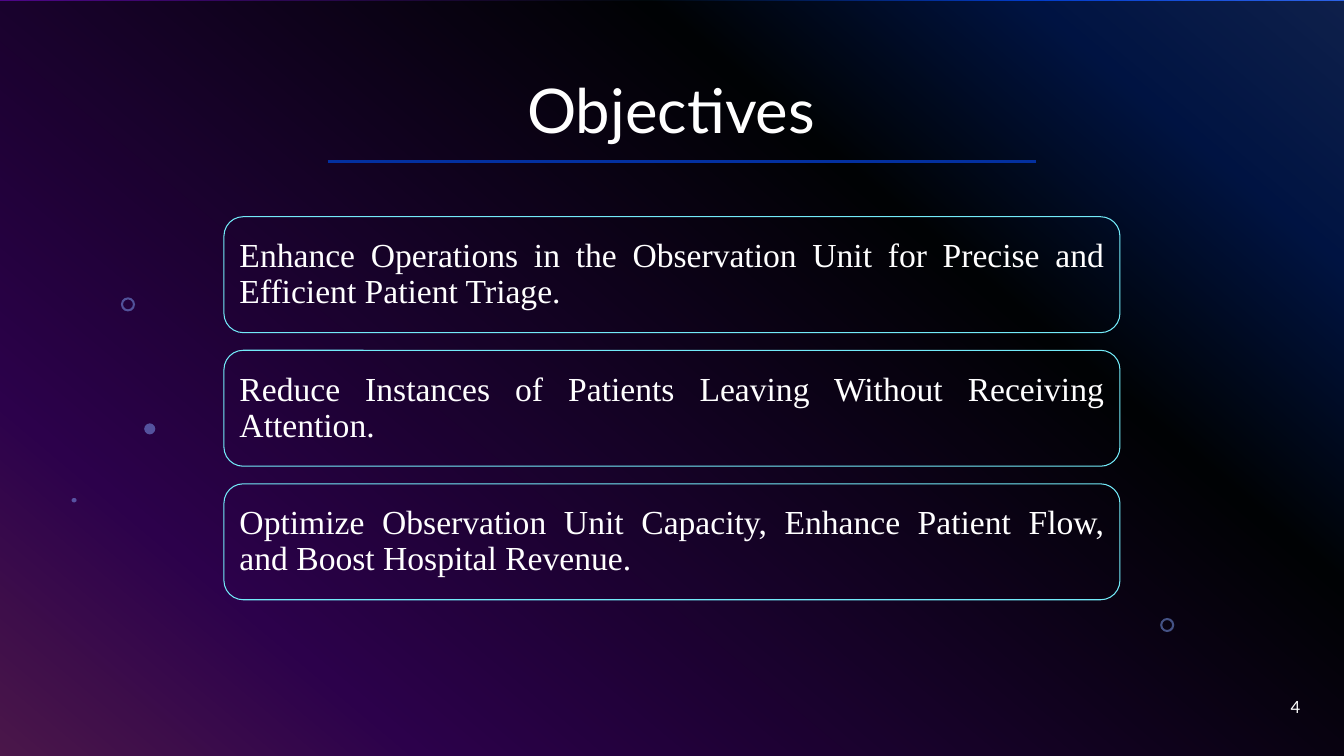
from lxml import etree
from pptx import Presentation
from pptx.dml.color import RGBColor
from pptx.enum import shapes, text
from pptx.oxml import ns
from pptx.util import Pt

TITLE = "Objectives"
OBJECTIVES = [
    "Enhance Operations in the Observation Unit for Precise and Efficient Patient Triage.",
    "Reduce Instances of Patients Leaving Without Receiving Attention.",
    "Optimize Observation Unit Capacity, Enhance Patient Flow, and Boost Hospital Revenue.",
]
PAGE = "4"

COLORS = {
    "text": "FFFFFF",
    "veil": "000000",
    "dot": "83A7FD",
    "box": "73EBF9",
    "rule": "0330A0",
}
GRADIENT = [(0, "316CFC"), (14, "0343DF"), (31, "02090E"), (81, "9405FC"), (100, "FC4EFB")]
GRADIENT_ANGLE = 230

RINGS = [(828.7, 441.4), (86.4, 212.4)]
RING_SIZE = 10.1
DOTS = [(103, 302.4, 7.9, 7.9), (51.1, 355.7, 3.6, 3.2)]

W, H = 960, 540
BOX_LEFT, BOX_TOP, BOX_W, BOX_H, BOX_GAP = 160, 154.8, 640, 82.8, 12.6
RULE_Y = 115.2

MSO = shapes.MSO_SHAPE
ALIGN = text.PP_ALIGN


def rgb(name):
    return RGBColor.from_string(COLORS[name])


def add_xml(parent, tag, **attrs):
    return etree.SubElement(parent, ns.qn(tag), attrs)


def put_text(sp, content, size, font="Lato", align=ALIGN.CENTER, spacing=None):
    tf = sp.text_frame
    tf.word_wrap = True
    tf.vertical_anchor = text.MSO_ANCHOR.MIDDLE
    p = tf.paragraphs[0]
    p.alignment = align
    p.line_spacing = spacing
    r = p.add_run()
    r.text = content
    r.font.size = Pt(size)
    r.font.name = font
    r.font.color.rgb = rgb("text")
    return tf


def add_shape(s, kind, left, top, width, height, fill=None, alpha=100):
    sp = s.shapes.add_shape(kind, Pt(left), Pt(top), Pt(width), Pt(height))
    sp.shadow.inherit = False
    sp.line.fill.background()
    if fill is None:
        sp.fill.background()
    else:
        sp.fill.solid()
        sp.fill.fore_color.rgb = rgb(fill)
        color = sp.element.spPr.find(ns.qn("a:solidFill"))[0]
        add_xml(color, "a:alpha", val=str(alpha * 1000))
    return sp


def set_background(s):
    fill = s.background.fill
    fill.gradient()
    fill.gradient_angle = GRADIENT_ANGLE
    stops = next(s.element.iter(ns.qn("a:gsLst")))
    for old in list(stops):
        stops.remove(old)
    for pos, color in GRADIENT:
        add_xml(add_xml(stops, "a:gs", pos=str(pos * 1000)), "a:srgbClr", val=color)


def add_decor(s):
    add_shape(s, MSO.RECTANGLE, 0, 0.7, W, H - 0.7, "veil", 70)
    for left, top in RINGS:
        ring = add_shape(s, MSO.DONUT, left, top, RING_SIZE, RING_SIZE, "dot", 49)
        ring.adjustments[0] = 0.15
    for dot in DOTS:
        add_shape(s, MSO.OVAL, *dot, "dot", 49)


def add_title(s):
    sp = s.shapes.title
    sp.left, sp.top, sp.width, sp.height = Pt(65.5), Pt(28.8), Pt(828), Pt(104.4)
    put_text(sp, TITLE, 44, spacing=0.9)
    rule = s.shapes.add_connector(
        shapes.MSO_CONNECTOR.STRAIGHT, Pt(234), Pt(RULE_Y), Pt(740), Pt(RULE_Y))
    rule.line.width = Pt(2)
    rule.line.color.rgb = rgb("rule")
    add_xml(rule.element.spPr, "a:effectLst")


def add_objectives(s):
    for i, objective in enumerate(OBJECTIVES):
        top = BOX_TOP + i * (BOX_H + BOX_GAP)
        box = add_shape(s, MSO.ROUNDED_RECTANGLE, BOX_LEFT, top, BOX_W, BOX_H)
        box.line.color.rgb = rgb("box")
        box.line.width = Pt(0.75)
        tf = put_text(box, objective, 24, "Times New Roman", ALIGN.JUSTIFY, 0.9)
        tf.margin_left = tf.margin_right = tf.margin_top = tf.margin_bottom = Pt(7.2)


def main():
    prs = Presentation()
    prs.slide_width, prs.slide_height = Pt(W), Pt(H)
    s = prs.slides.add_slide(prs.slide_layouts[5])
    set_background(s)
    add_decor(s)
    title = s.shapes.title.element
    title.getparent().append(title)
    add_title(s)
    add_objectives(s)
    page = s.shapes.add_textbox(Pt(720), Pt(490.3), Pt(216), Pt(28.8))
    put_text(page, PAGE, 12, align=ALIGN.RIGHT)
    prs.save("out.pptx")


if __name__ == "__main__":
    main()
